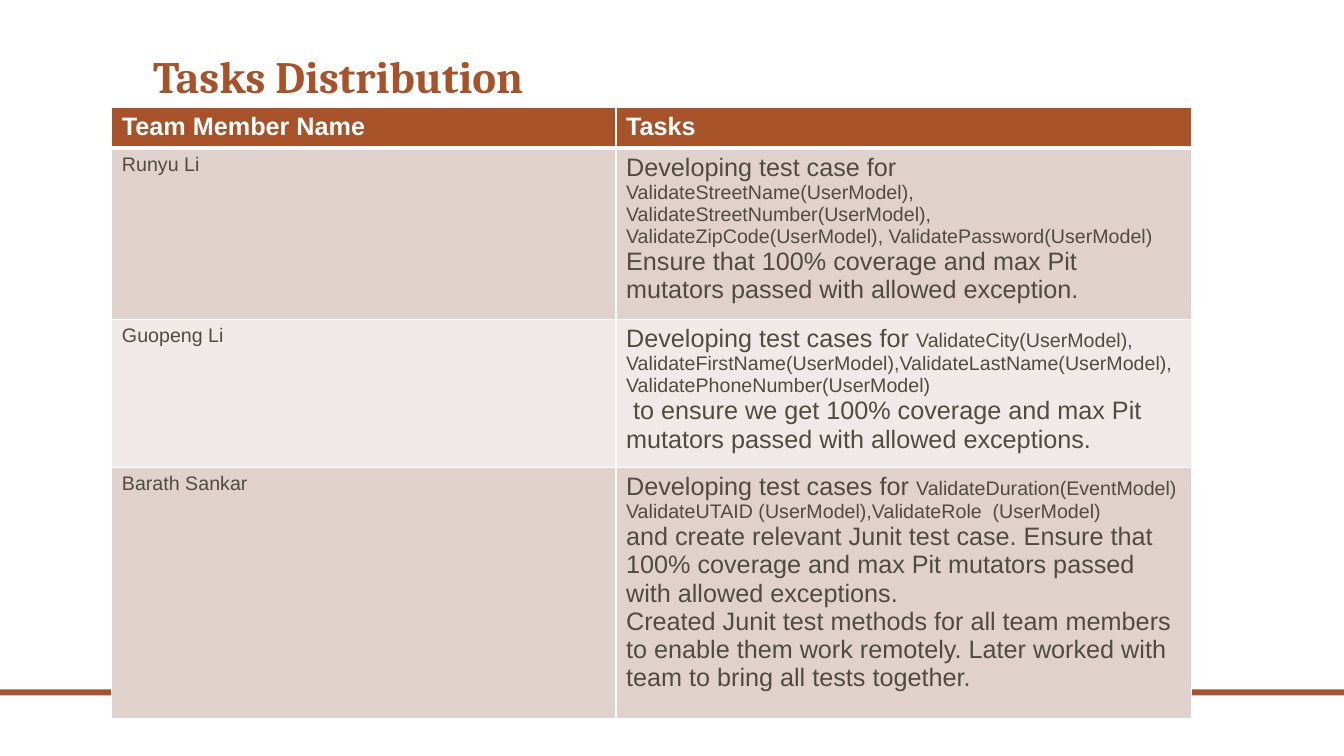
from lxml import etree
from pptx import Presentation
from pptx.dml.color import RGBColor
from pptx.enum.shapes import MSO_SHAPE
from pptx.enum.text import MSO_ANCHOR
from pptx.oxml.ns import qn
from pptx.util import Inches, Pt

RECTANGLE = MSO_SHAPE.RECTANGLE
BOTTOM = MSO_ANCHOR.BOTTOM

COLORS = {
    "accent": "A85229",
    "text": "514A40",
    "white": "FFFFFF",
    "band_dark": "E1D1CD",
    "band_light": "F1E9E8",
}
LARGE, SMALL = 18, 14

HEADINGS = ("Team Member Name", "Tasks")
# Each member has paragraphs of (text, size) runs
ASSIGNMENTS = [
    ("Runyu Li", [
        [("Developing test case for ", LARGE),
         ("ValidateStreetName(UserModel), ValidateStreetNumber(UserModel), "
          "ValidateZipCode(UserModel), ValidatePassword(UserModel)", SMALL)],
        [("Ensure that 100% coverage and max Pit mutators passed with allowed exception.", LARGE)],
    ]),
    ("Guopeng Li", [
        [("Developing test cases for ", LARGE), ("ValidateCity(UserModel),", SMALL)],
        [("ValidateFirstName(UserModel),ValidateLastName(UserModel), "
          "ValidatePhoneNumber(UserModel)", SMALL)],
        [(" to ensure we get 100% coverage and max Pit mutators passed "
          "with allowed exceptions.", LARGE)],
    ]),
    ("Barath Sankar", [
        [("Developing test cases for ", LARGE), ("ValidateDuration(EventModel) ", SMALL)],
        [("ValidateUTAID (UserModel),ValidateRole  (UserModel)", SMALL)],
        [("and create relevant Junit test case. Ensure that 100% coverage and max Pit "
          "mutators passed with allowed exceptions.", LARGE)],
        [("Created Junit test methods for all team members to enable them work remotely. "
          "Later worked with team to bring all tests together.", LARGE)],
    ]),
]
COLUMN_WIDTHS = (5, 5.71)
ROW_HEIGHTS = (0.38, 1.6, 1.37, 2.49)


def rgb(name):
    return RGBColor.from_string(COLORS[name])


def add_text(paragraph, text, size=LARGE, color="text", font="Arial", bold=False):
    run = paragraph.add_run()
    run.text = text
    run.font.size = Pt(size)
    run.font.name = font
    run.font.bold = bold
    run.font.color.rgb = rgb(color)


class SlideBuilder:
    def __init__(self, slide):
        self.slide = slide

    def bar(self, left, top, width, height):
        bar = self.slide.shapes.add_shape(
            RECTANGLE, Inches(left), Inches(top), Inches(width), Inches(height))
        bar.shadow.inherit = False
        bar.fill.solid()
        bar.fill.fore_color.rgb = rgb("accent")
        bar.line.fill.background()

    def title(self, text, left, top, width, height):
        box = self.slide.shapes.add_textbox(
            Inches(left), Inches(top), Inches(width), Inches(height))
        frame = box.text_frame
        frame.word_wrap = True
        frame.vertical_anchor = BOTTOM
        frame.paragraphs[0].line_spacing = 0.9
        add_text(frame.paragraphs[0], text, size=32, color="accent", font="Cambria", bold=True)

    def table(self, left, top, widths, heights):
        table = self.slide.shapes.add_table(
            len(heights), len(widths), Inches(left), Inches(top),
            Inches(sum(widths)), Inches(sum(heights))).table
        for column, width in zip(table.columns, widths):
            column.width = Inches(width)
        for row, height in zip(table.rows, heights):
            row.height = Inches(height)
        return table

    def cell(self, cell, paragraphs, fill, top=1, bottom=1, **style):
        # Borders precede the fill in the cell properties
        properties = cell._tc.get_or_add_tcPr()
        for side, points in (("L", 1), ("R", 1), ("T", top), ("B", bottom)):
            border = etree.SubElement(properties, qn(f"a:ln{side}"), w=str(Pt(points)))
            solid = etree.SubElement(border, qn("a:solidFill"))
            etree.SubElement(solid, qn("a:srgbClr"), val=COLORS["white"])
        cell.fill.solid()
        cell.fill.fore_color.rgb = rgb(fill)
        frame = cell.text_frame
        for index, runs in enumerate(paragraphs):
            paragraph = frame.add_paragraph() if index else frame.paragraphs[0]
            for text, size in runs:
                add_text(paragraph, text, size=size, **style)


def main():
    deck = Presentation()
    deck.slide_width, deck.slide_height = Inches(13.33), Inches(7.5)
    builder = SlideBuilder(deck.slides.add_slide(deck.slide_layouts[6]))

    # Footer bar and title
    builder.bar(0, 6.84, 13.33, 0.06)
    builder.title("Tasks Distribution", 1.42, 0.42, 10.5, 0.65)

    # Task table
    tasks = builder.table(1.11, 1.07, COLUMN_WIDTHS, ROW_HEIGHTS)
    for column, heading in enumerate(HEADINGS):
        builder.cell(tasks.cell(0, column), [[(heading, LARGE)]], "accent",
                     bottom=3, color="white", bold=True)
    for row, (member, duties) in enumerate(ASSIGNMENTS, start=1):
        band = "band_dark" if row % 2 else "band_light"
        top = 3 if row == 1 else 1
        builder.cell(tasks.cell(row, 0), [[(member, SMALL)]], band, top=top)
        builder.cell(tasks.cell(row, 1), duties, band, top=top)

    deck.save("out.pptx")


if __name__ == "__main__":
    main()
